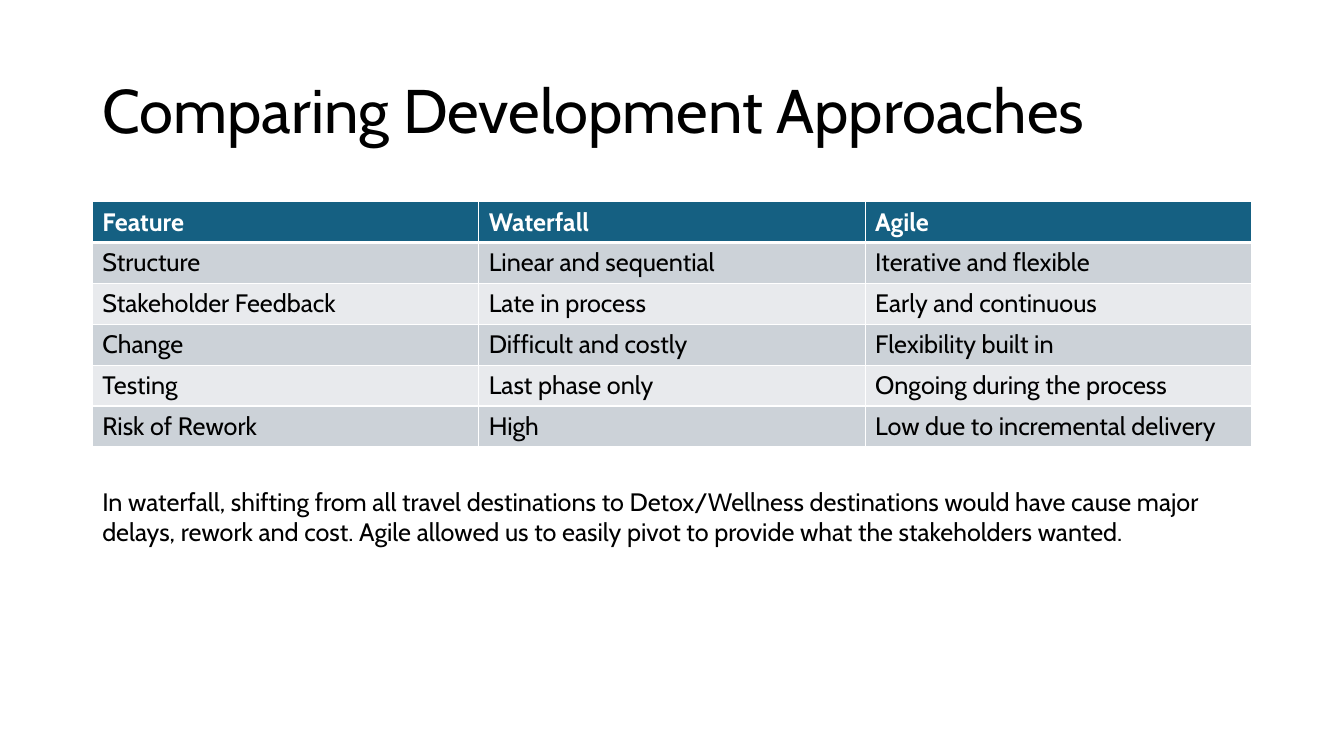
import pptx
import pptx.dml.color
import pptx.enum.text
import pptx.oxml
import pptx.oxml.ns
import pptx.util
from lxml import etree

Pt = pptx.util.Pt

# Content
TITLE = "Comparing Development Approaches"
COMPARISON = [
    ("Feature", "Waterfall", "Agile"),
    ("Structure", "Linear and sequential", "Iterative and flexible"),
    ("Stakeholder Feedback", "Late in process", "Early and continuous"),
    ("Change", "Difficult and costly", "Flexibility built in"),
    ("Testing", "Last phase only", "Ongoing during the process"),
    ("Risk of Rework", "High", "Low due to incremental delivery"),
]
CONCLUSION = (
    "In waterfall, shifting from all travel destinations to Detox/Wellness "
    "destinations would have cause major delays, rework and cost. Agile allowed "
    "us to easily pivot to provide what the stakeholders wanted."
)

# Style and layout, in points
FONT = "Cabin"
COLORS = {
    "text": "000000",
    "white": "FFFFFF",
    "header": "156082",
    "odd": "CCD2D8",
    "even": "E8EAED",
}
LEFT, WIDTH = 66, 828
ROW_HEIGHT = 29.2


def rgb(name):
    return pptx.dml.color.RGBColor.from_string(COLORS[name])


def set_font(paragraph, size, color="text", bold=False):
    paragraph.font.name = FONT
    paragraph.font.size = Pt(size)
    paragraph.font.bold = bold
    paragraph.font.color.rgb = rgb(color)


def add_border(cell, side, width):
    qn = pptx.oxml.ns.qn
    line = etree.SubElement(cell._tc.get_or_add_tcPr(), qn(f"a:ln{side}"), w=str(Pt(width)))
    fill = etree.SubElement(line, qn("a:solidFill"))
    etree.SubElement(fill, qn("a:srgbClr"), val=COLORS["white"])


presentation = pptx.Presentation()
presentation.slide_width, presentation.slide_height = Pt(960), Pt(540)
slide = presentation.slides.add_slide(presentation.slide_layouts[5])

# Title
title = slide.shapes.title
title.left, title.top, title.width, title.height = Pt(LEFT), Pt(28.75), Pt(WIDTH), Pt(104.4)
title.text_frame.text = TITLE
title.text_frame.vertical_anchor = pptx.enum.text.MSO_ANCHOR.MIDDLE
heading = title.text_frame.paragraphs[0]
heading.alignment = pptx.enum.text.PP_ALIGN.LEFT
heading.line_spacing = 0.9
set_font(heading, 44)

# Comparison table
rows, columns = len(COMPARISON), len(COMPARISON[0])
comparison = slide.shapes.add_table(
    rows, columns, Pt(LEFT), Pt(144), Pt(WIDTH), Pt(ROW_HEIGHT * rows)
).table
for column in comparison.columns:
    column.width = Pt(WIDTH / columns)
for r, features in enumerate(COMPARISON):
    comparison.rows[r].height = Pt(ROW_HEIGHT)
    is_header = r == 0
    band = "header" if is_header else "odd" if r % 2 else "even"
    for c, feature in enumerate(features):
        cell = comparison.cell(r, c)
        cell.text = feature
        set_font(cell.text_frame.paragraphs[0], 18, "white" if is_header else "text", is_header)
        for side in "LRTB":
            header_rule = (r, side) in ((0, "B"), (1, "T"))
            add_border(cell, side, 3 if header_rule else 1)
        cell.fill.solid()
        cell.fill.fore_color.rgb = rgb(band)

# Conclusion
conclusion = slide.shapes.add_textbox(Pt(LEFT), Pt(343.5), Pt(WIDTH), Pt(50.9)).text_frame
conclusion.word_wrap = True
conclusion.auto_size = pptx.enum.text.MSO_AUTO_SIZE.SHAPE_TO_FIT_TEXT
conclusion.text = CONCLUSION
set_font(conclusion.paragraphs[0], 18)

presentation.save("out.pptx")
